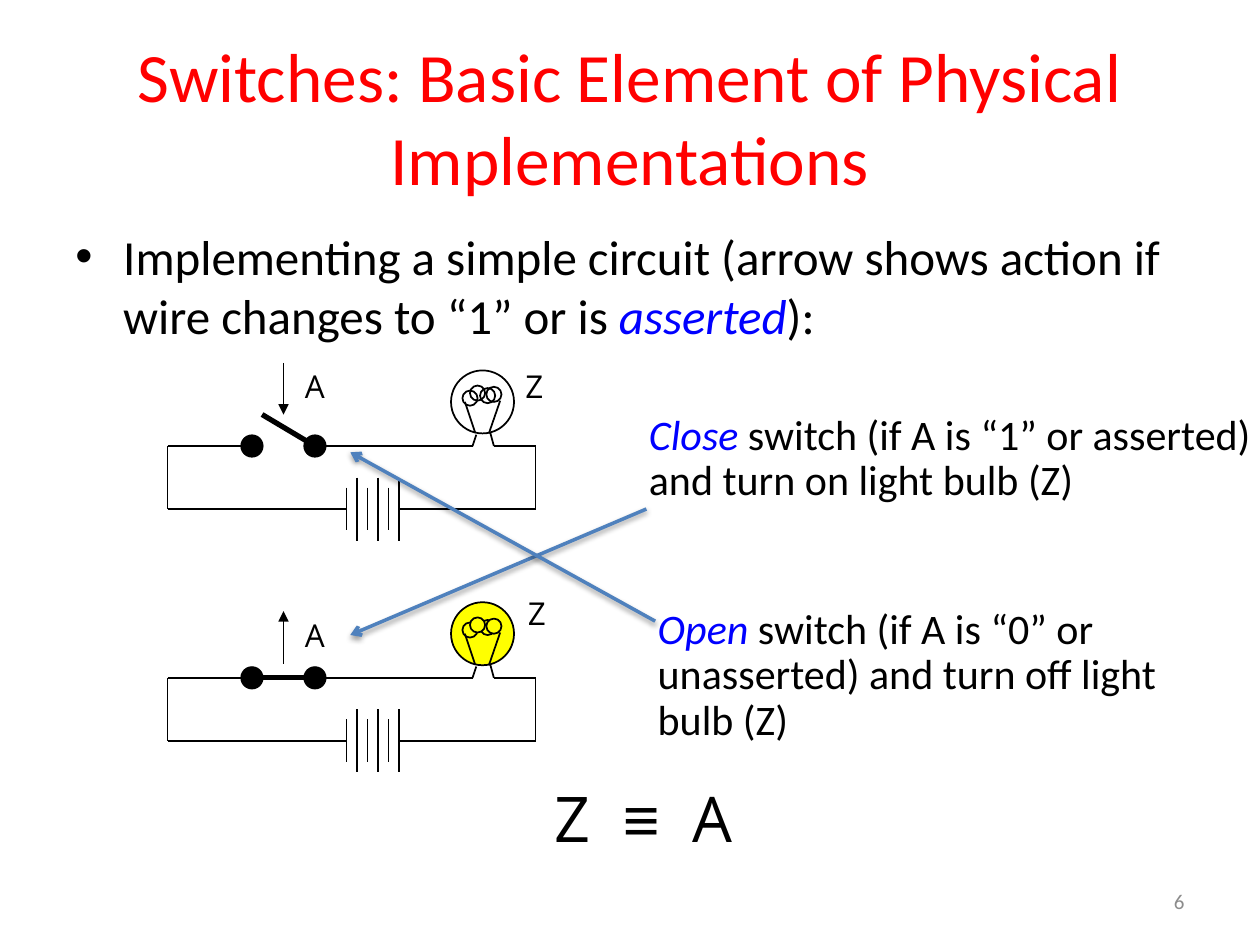
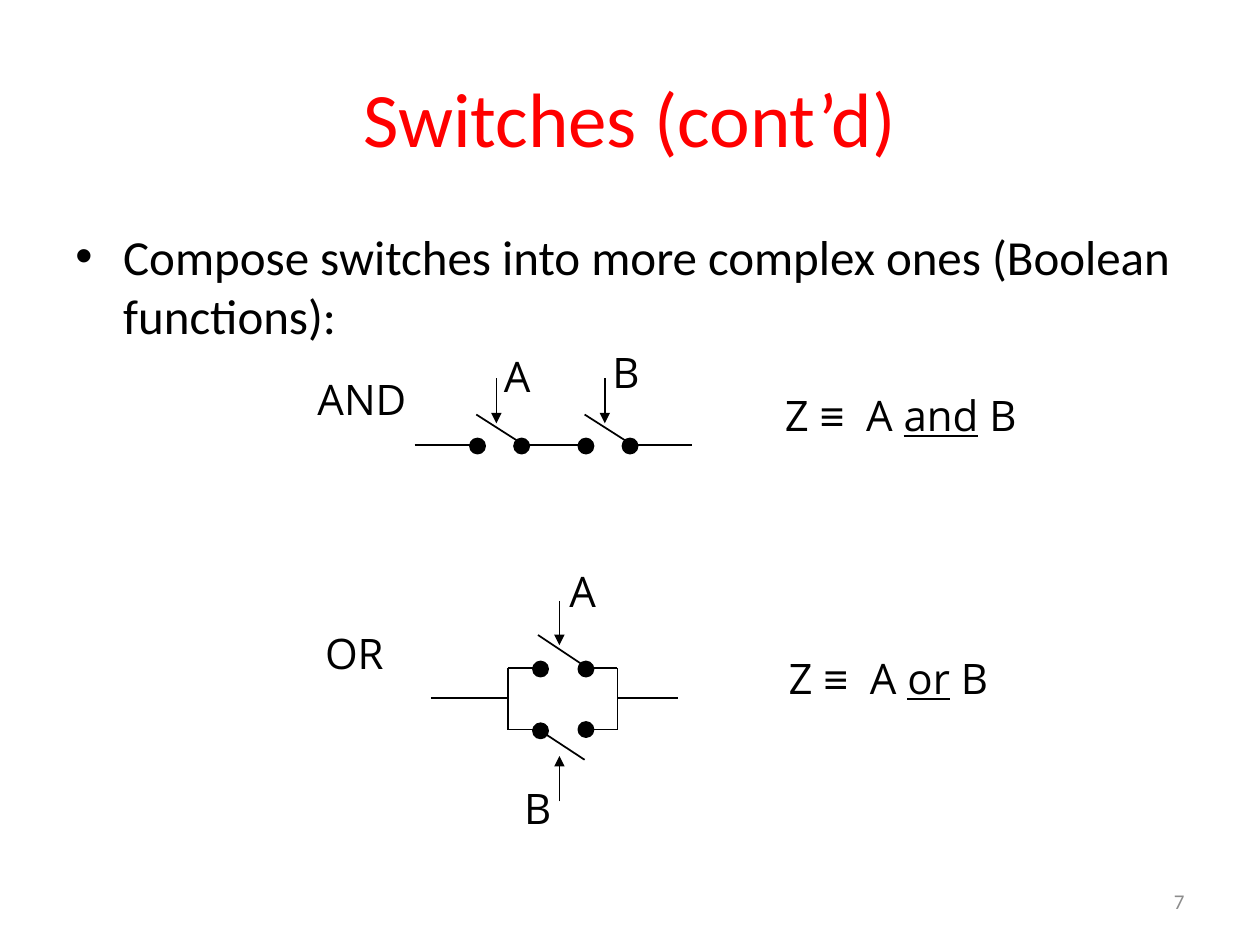
import pptx
import pptx.util
import pptx.dml.color
import pptx.enum.shapes
import pptx.enum.text
import pptx.oxml
import pptx.oxml.ns

Inches, Pt = pptx.util.Inches, pptx.util.Pt
RGBColor = pptx.dml.color.RGBColor
ALIGN, ANCHOR = pptx.enum.text.PP_ALIGN, pptx.enum.text.MSO_ANCHOR
SHAPE = pptx.enum.shapes.MSO_SHAPE
qn = pptx.oxml.ns.qn
NS = pptx.oxml.ns.nsdecls("a")

BLACK = RGBColor(0, 0, 0)
WHITE = RGBColor(255, 255, 255)
RED = RGBColor(255, 0, 0)
BLUE = RGBColor(0, 0, 255)
YELLOW = RGBColor(255, 255, 0)
GREY = RGBColor(0x8C, 0x8C, 0x8C)
STEEL = RGBColor(0x4F, 0x81, 0xBD)
SANS, BODY, MATH = "Open Sans", "Calibri", "Arial"
TIGHT = (0.02, 0.03)
ROOMY = (0.1, 0.05)
SHADOW = ('<a:outerShdw blurRad="39370" dist="20320" dir="5400000"><a:srgbClr val="000000">'
          '<a:alpha val="38000"/></a:srgbClr></a:outerShdw>')


def text(s, box, runs, size, font=SANS, color=BLACK, inset=TIGHT, leading=26, before=0):
    """Add one paragraph of (words, changes) runs; "\\n" is a line break. Return the frame."""
    tf = s.shapes.add_textbox(*[Inches(v) for v in box]).text_frame
    tf.word_wrap = True
    tf.margin_left = tf.margin_right = Inches(inset[0])
    tf.margin_top = tf.margin_bottom = Inches(inset[1])
    p = tf.paragraphs[0]
    p.space_before = Pt(before)
    if leading:
        p.line_spacing = Pt(leading)
    for words, changes in runs:
        if words == "\n":
            p.add_line_break()
            continue
        r = p.add_run()
        r.text = words
        r.font.size = Pt(size)
        r.font.name = changes.get("font", font)
        r.font.color.rgb = changes.get("color", color)
        r.font.italic = changes.get("italic", False)
        r.font.underline = changes.get("underline", False)
    return tf


def line(s, x1, y1, x2, y2, width=1, color=BLACK, arrow=None, effect=""):
    """Draw a straight line, with an optional arrowhead at its end and an effect."""
    c = s.shapes.add_connector(pptx.enum.shapes.MSO_CONNECTOR.STRAIGHT,
                               Inches(x1), Inches(y1), Inches(x2), Inches(y2))
    c.line.color.rgb = color
    c.line.width = Pt(width)
    sppr = c._element.spPr
    if arrow:
        sppr.find(qn("a:ln")).append(pptx.oxml.parse_xml(f'<a:tailEnd {NS} type="{arrow}"/>'))
    sppr.append(pptx.oxml.parse_xml(f"<a:effectLst {NS}>{effect}</a:effectLst>"))


prs = pptx.Presentation()
prs.slide_width, prs.slide_height = Inches(10), Inches(7.5)

# Title, bullet and page number of each slide
EMPHASIS = {"color": BLUE, "italic": True}
pages = [
    ("Switches: Basic Element of Physical Implementations", 39.6,
     [("Implementing a simple circuit (arrow shows action if wire changes to “1” or is ", {}),
      ("asserted", EMPHASIS), ("):", {})], "6"),
    ("Switches (cont’d)", 44,
     [("Compose switches into more complex ones (Boolean functions):", {})], "7"),
]
for title, size, bullet, number in pages:
    s = prs.slides.add_slide(prs.slide_layouts[6])
    tf = text(s, (0.5, 0.3, 9, 1.25), [(title, {})], size, BODY, RED, ROOMY, None)
    tf.vertical_anchor = ANCHOR.MIDDLE
    tf.paragraphs[0].alignment = ALIGN.CENTER

    tf = text(s, (0.5, 1.75, 9, 1.03), bullet, 28, BODY, BLACK, ROOMY, None, 5.6)
    ppr = tf.paragraphs[0]._p.get_or_add_pPr()
    ppr.set("marL", str(Inches(0.38)))
    ppr.set("indent", str(-Inches(0.38)))
    ppr.append(pptx.oxml.parse_xml(f'<a:buFont {NS} typeface="Arial"/>'))
    ppr.append(pptx.oxml.parse_xml(f'<a:buChar {NS} char="•"/>'))

    tf = text(s, (7.17, 6.95, 2.33, 0.4), [(number, {})], 12, BODY, GREY, ROOMY, None)
    tf.vertical_anchor = ANCHOR.MIDDLE
    tf.paragraphs[0].alignment = ALIGN.RIGHT

basics, gates = prs.slides

# Circles come first so that wires lie on top: slide, centre, diameter, fill
OPEN_Y, CLOSED_Y = 3.54, 5.38
circles = []
for y, glass, loop in [(OPEN_Y, WHITE, None), (CLOSED_Y, YELLOW, YELLOW)]:
    circles.append((basics, 3.83, y - 0.35, 0.5, glass))
    for x, rise in [(3.73, 0.38), (3.87, 0.4), (3.92, 0.41), (3.79, 0.42)]:
        circles.append((basics, x, y - rise, 0.12, loop))
    for x in (2, 2.5):
        circles.append((basics, x, y, 0.17, BLACK))
for x in (3.79, 4.14, 4.65, 5):
    circles.append((gates, x, 3.54, 0.12, BLACK))
for x, y in [(4.29, 5.31), (4.65, 5.31), (4.29, 5.8), (4.65, 5.79)]:
    circles.append((gates, x, y, 0.12, BLACK))
for s, x, y, d, fill in circles:
    sp = s.shapes.add_shape(SHAPE.OVAL, Inches(x - d / 2), Inches(y - d / 2), Inches(d), Inches(d))
    sp.shadow.inherit = False
    sp.line.color.rgb = BLACK
    sp.line.width = Pt(1)
    if fill is None:
        sp.fill.background()
    else:
        sp.fill.solid()
        sp.fill.fore_color.rgb = fill

# Two lamp circuits; y is the height of the upper wire
for y in (OPEN_Y, CLOSED_Y):
    low = y + 0.5
    for wire in [(1.33, y, 2, y), (2.5, y, 3.75, y), (3.92, y, 4.25, y), (4.25, y, 4.25, low),
                 (4.25, low, 3.17, low), (2.75, low, 1.33, low), (1.33, low, 1.33, y)]:
        line(basics, *wire)
    for x1, rise1, x2, rise2 in [(3.69, 0.35, 3.77, 0.11), (3.97, 0.36, 3.88, 0.1),
                                 (3.78, 0.09, 3.75, 0), (3.89, 0.11, 3.92, 0)]:
        line(basics, x1, y - rise1, x2, y - rise2)
    for i in range(6):  # battery plates, short and long in turn
        x, half = 2.75 + i / 12, (0.25 if i % 2 else 0.17)
        line(basics, x, low - half, x, low + half)

line(basics, 2.5, OPEN_Y, 2.08, 3.29, 3)
line(basics, 2.5, CLOSED_Y, 2, CLOSED_Y, 3)
line(basics, 2.25, 2.88, 2.25, 3.29, arrow="triangle")
line(basics, 2.25, 5.27, 2.25, 4.85, arrow="triangle")
for name, x, y in [("A", 2.4, 2.82), ("Z", 4.15, 2.82), ("A", 2.4, 4.8), ("Z", 4.17, 4.62)]:
    text(basics, (x, y, 0.6, 0.49), [(name, {})], 18)

# Explanations, each pointing to its circuit
text(basics, (5.13, 3.25, 4.85, 1.12),
     [("Close ", EMPHASIS), ("switch (if A is “1” or asserted)", {}), ("\n", {}),
      ("and turn on light bulb (Z)", {})], 24, BODY, before=11)
text(basics, (5.2, 4.79, 4.45, 1.12),
     [("Open ", EMPHASIS), ("switch (if A is “0” or ", {}), ("\n", {}),
      ("unasserted) and turn off light ", {}), ("\n", {}), ("bulb (Z)", {})], 24, BODY, before=11)
line(basics, 5.13, 4.04, 2.78, 5.04, 2, STEEL, "arrow", SHADOW)
line(basics, 5.2, 4.93, 2.78, 3.59, 2, STEEL, "arrow", SHADOW)

EQUIV = ("≡", {"font": MATH})
text(basics, (4.3, 6.38, 1.8, 0.51), [("Z  ", {}), EQUIV, ("  A", {})], 36,
     inset=ROOMY, before=11)

# AND: two switches in series
for x in (3.29, 4.15, 5.01):
    line(gates, x, 3.53, x + 0.48, 3.53)
for x in (3.78, 4.64):
    line(gates, x, 3.29, x + 0.36, 3.52)
    line(gates, x + 0.16, 3, x + 0.16, 3.36, arrow="triangle")

# OR: two switches in parallel
for wire in [(3.42, 5.54, 4.03, 5.54), (4.9, 5.54, 5.38, 5.54),
             (4.03, 5.3, 4.03, 5.79), (4.9, 5.3, 4.9, 5.79),
             (4.03, 5.3, 4.29, 5.3), (4.64, 5.3, 4.9, 5.3),
             (4.03, 5.79, 4.27, 5.79), (4.66, 5.79, 4.9, 5.79),
             (4.66, 5.3, 4.27, 5.04), (4.29, 5.8, 4.64, 6.03)]:
    line(gates, *wire)
line(gates, 4.44, 4.77, 4.44, 5.12, arrow="triangle")
line(gates, 4.44, 6.36, 4.44, 6, arrow="triangle")

for name, x, y in [("AND", 2.5, 2.97), ("OR", 2.56, 4.99), ("A", 3.98, 2.79),
                   ("B", 4.84, 2.76), ("A", 4.5, 4.5), ("B", 4.14, 6.22)]:
    text(gates, (x, y, 1, 0.49), [(name, {})], 24)
for word, x, y in [("and", 6.21, 3.1), ("or", 6.24, 5.19)]:
    text(gates, (x, y, 2.2, 0.64),
         [("Z ", {}), EQUIV, ("  A ", {}), (word, {"underline": True}), (" B", {})],
         24, before=11)

prs.save("out.pptx")
